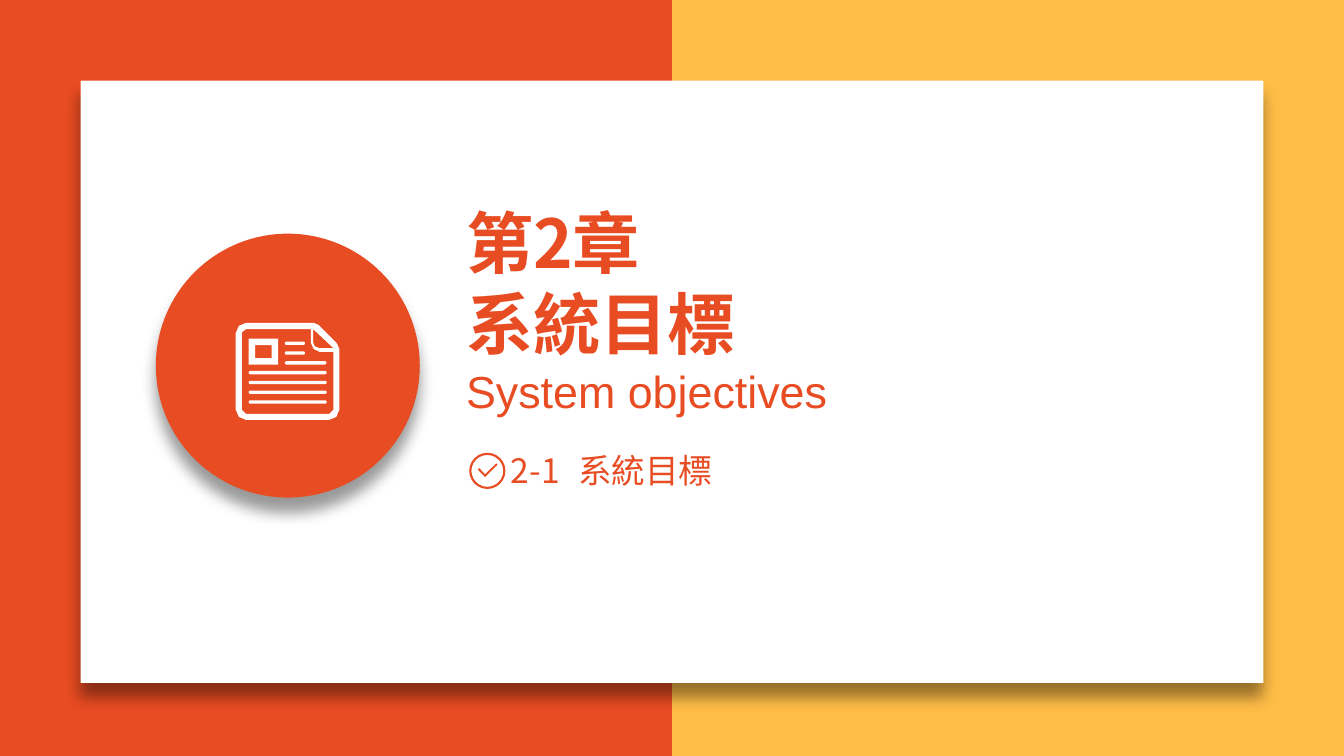
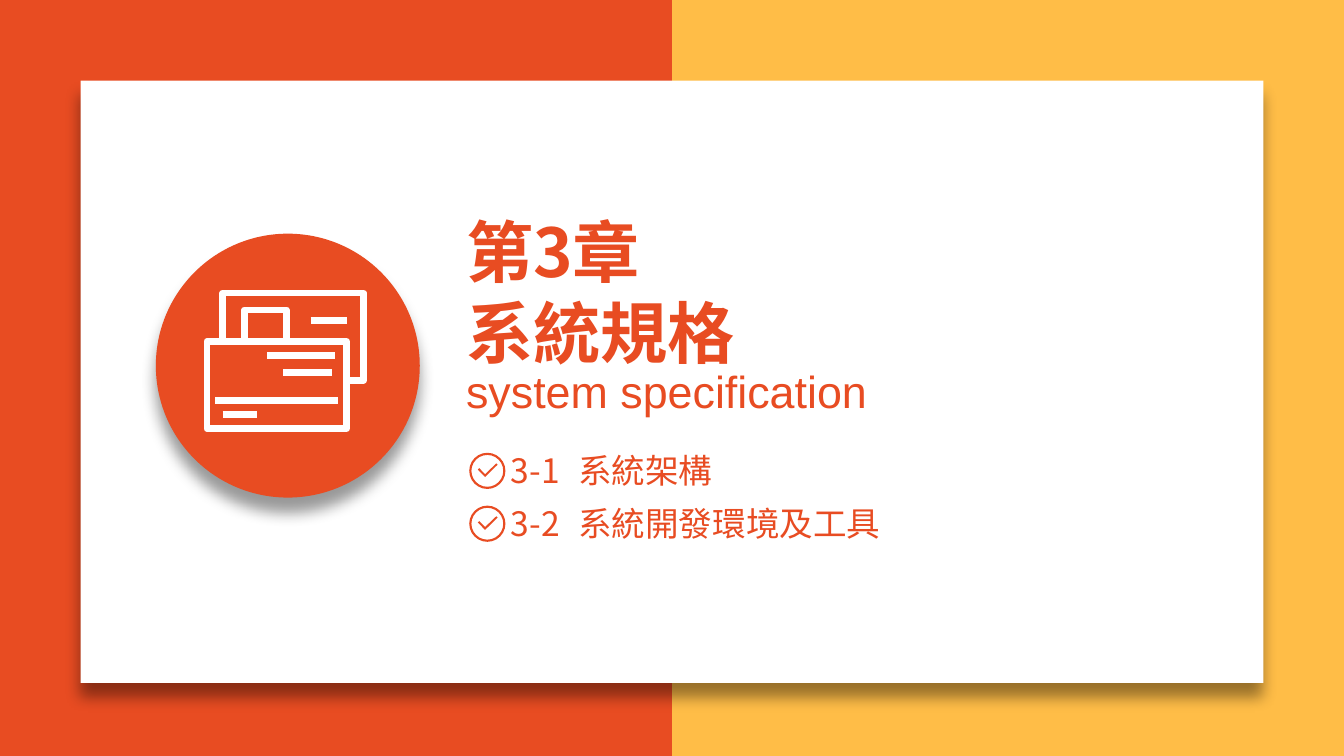
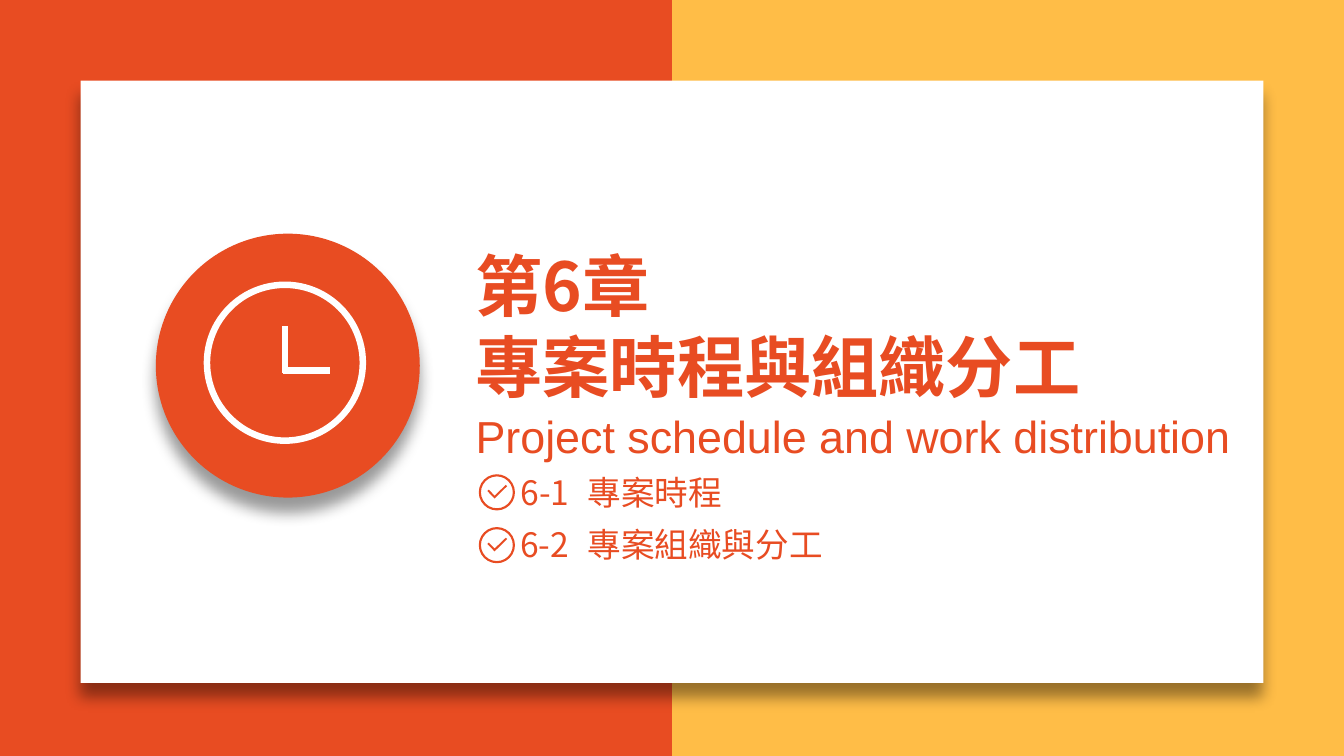
"""Build three chapter title slides with a shared panel, badge and checklist."""
from lxml import etree
from pptx import Presentation
from pptx.dml.color import RGBColor
from pptx.enum import shapes, text
from pptx.oxml import ns
from pptx.util import Pt

RED, GOLD, WHITE = "E84C22", "FFBD47", "FFFFFF"
CJK, LATIN = "Noto Sans CJK SC", "Arial"
STROKE = 3.5
KIND = shapes.MSO_SHAPE


def paint(item, fill=None, line=None, soft=False):
    if hasattr(item, "fill"):
        if fill:
            item.fill.solid()
            item.fill.fore_color.rgb = RGBColor.from_string(fill)
        else:
            item.fill.background()
    if line:
        item.line.color.rgb = RGBColor.from_string(line)
        item.line.width = Pt(STROKE)
    else:
        item.line.fill.background()
    glow = etree.SubElement(item._element.spPr, ns.qn("a:effectLst"))
    if soft:
        cast = etree.SubElement(glow, ns.qn("a:outerShdw"), blurRad=str(Pt(8)),
                                dist=str(Pt(8)), dir="5400000", rotWithShape="0")
        tint = etree.SubElement(cast, ns.qn("a:srgbClr"), val="000000")
        etree.SubElement(tint, ns.qn("a:alpha"), val="40000")
    return item


def trace(slide, *loops, close=True):
    pen = None
    for loop in loops:
        dots = [(Pt(x), Pt(y)) for x, y in loop]
        if pen is None:
            pen = slide.shapes.build_freeform(*dots[0], scale=1.0)
        else:
            pen.move_to(*dots[0])
        pen.add_line_segments(dots[1:], close=close)
    return pen.convert_to_shape()


deck = Presentation()
deck.slide_width, deck.slide_height = Pt(720), Pt(405)
back = deck.slide_master.background.fill
back.solid()
back.fore_color.rgb = RGBColor.from_string(GOLD)

CHECK = [(4.6, 9), (5.4, 8.3), (8.5, 11.5), (14.5, 5.7), (15.2, 6.4), (8.5, 13)]

chapters = [
    dict(left=242.6, title=["第2章", "系統目標"], title_box=(104.4, 369.4),
         sub="System objectives", sub_box=(191.5, 210.2),
         top=237.6, items=[("2-1 \t系統目標", 123.8)]),
    dict(left=242.6, title=["第3章", "系統規格"], title_box=(109.4, 159.8),
         sub="system specification", sub_box=(191.5, 231.8),
         top=237.6, items=[("3-1 \t系統架構", 123.8), ("3-2 \t系統開發環境及工具", 267.8)]),
    dict(left=247.7, title=["第6章", "專案時程與組織分工"], title_box=(127.4, 342),
         sub="Project schedule and work distribution", sub_box=(215.3, 423.4),
         top=249.1, items=[("6-1 \t專案時程", 123.8), ("6-2 \t專案組織與分工", 177.8)]),
]

slides = []
for chap in chapters:
    slide = deck.slides.add_slide(deck.slide_layouts[6])
    slides.append(slide)
    for kind, box, fill, soft in [
        (KIND.RECTANGLE, (0, 0, 360, 405), RED, False),
        (KIND.RECTANGLE, (43.2, 43.2, 633.6, 322.6), WHITE, True),
        (KIND.OVAL, (83.5, 125.2, 141.4, 141.4), RED, True),
    ]:
        paint(slide.shapes.add_shape(kind, *map(Pt, box)), fill, soft=soft)

    left = chap["left"]
    top, wide = chap["title_box"]
    blocks = [(chap["title"], left, top, wide, 94.3, 36, CJK)]
    top, wide = chap["sub_box"]
    blocks.append(([chap["sub"]], left, top, wide, 36, 24, LATIN))
    for row, (label, wide) in enumerate(chap["items"]):
        x, y = left + 24, chap["top"] + 28.3 * row
        blocks.append(([label], x, y, wide, 28.8, 18, CJK))
        x, y = x - 15.2, y + 5
        ring = slide.shapes.add_shape(KIND.DONUT, Pt(x), Pt(y), Pt(19.4), Pt(19.4))
        ring.adjustments[0] = 0.06
        paint(ring, RED)
        paint(trace(slide, [(x + dx, y + dy) for dx, dy in CHECK]), RED)

    for lines, x, y, wide, high, size, face in blocks:
        frame = slide.shapes.add_textbox(Pt(x), Pt(y), Pt(wide), Pt(high)).text_frame
        frame.word_wrap = True
        frame.auto_size = text.MSO_AUTO_SIZE.SHAPE_TO_FIT_TEXT
        frame.text = "\n".join(lines)
        for para in frame.paragraphs:
            font = para.font
            font.size, font.name, font.bold = Pt(size), face, size == 36
            font.color.rgb = RGBColor.from_string(RED)
            props = para._p.pPr
            base = props.find(ns.qn("a:defRPr"))
            etree.SubElement(base, ns.qn("a:ea"), typeface=face)
            if size == 18:
                tabs = etree.Element(ns.qn("a:tabLst"))
                etree.SubElement(tabs, ns.qn("a:tab"), pos=str(Pt(36)), algn="l")
                base.addprevious(tabs)

news, cards, clock = slides

edge = [(131.8, 173), (168, 173), (170.5, 174), (180.5, 184), (181.8, 187),
        (181.8, 219.5), (180.2, 223.4), (176.3, 225), (131.8, 225), (128, 223.4),
        (126.3, 219.5), (126.3, 178.5), (128, 174.6)]
inner = [(131.8, 176.4), (166.5, 176.4), (166.5, 183.6), (168, 187), (171.4, 188.6),
         (178.6, 188.6), (178.6, 219.6), (176.4, 221.8), (131.8, 221.8),
         (129.6, 219.6), (129.6, 178.1)]
fold = [(167.8, 176.4), (178.6, 186.5), (171, 186.5), (168.6, 185.5), (167.8, 183.6)]
paint(trace(news, edge, inner, fold), WHITE)
photo = news.shapes.add_shape(KIND.FRAME, Pt(133.2), Pt(181.4), Pt(15.8), Pt(14))
photo.adjustments[0] = 0.25
paint(photo, WHITE)
for row, (x, wide) in enumerate([(152.6, 10.8)] * 2 + [(152.6, 22.3)] + [(133.2, 41.8)] * 4):
    bar = news.shapes.add_shape(KIND.ROUNDED_RECTANGLE, Pt(x), Pt(183 + 5.25 * row),
                                Pt(wide), Pt(1.8))
    bar.adjustments[0] = 0.5
    paint(bar, WHITE)

for slide, kind, box in [
    (cards, KIND.RECTANGLE, (110.9, 182.9, 74.9, 46.8)),
    (clock, KIND.OVAL, (110.9, 152.6, 83.5, 83.5)),
]:
    paint(slide.shapes.add_shape(kind, *map(Pt, box)), line=WHITE)
for outline in [
    [(119.3, 183.4), (119.3, 157), (194.8, 157), (194.8, 203.8), (185.8, 203.8)],
    [(131, 181.5), (131, 166), (153.4, 166), (153.4, 181.5)],
]:
    paint(trace(cards, outline, close=False), line=WHITE)

for slide, ends in [
    (cards, (115.2, 214.5, 181.2, 214.5)),
    (cards, (143.3, 190.6, 179.4, 190.6)),
    (cards, (151.8, 199.5, 177.8, 199.5)),
    (cards, (119.3, 222.2, 137.6, 222.2)),
    (cards, (166.4, 171.6, 186, 171.6)),
    (clock, (152.6, 174.8, 152.6, 199.6)),
    (clock, (176.6, 198.5, 151.8, 198.5)),
]:
    paint(slide.shapes.add_connector(shapes.MSO_CONNECTOR.STRAIGHT, *map(Pt, ends)), line=WHITE)

deck.save("out.pptx")
